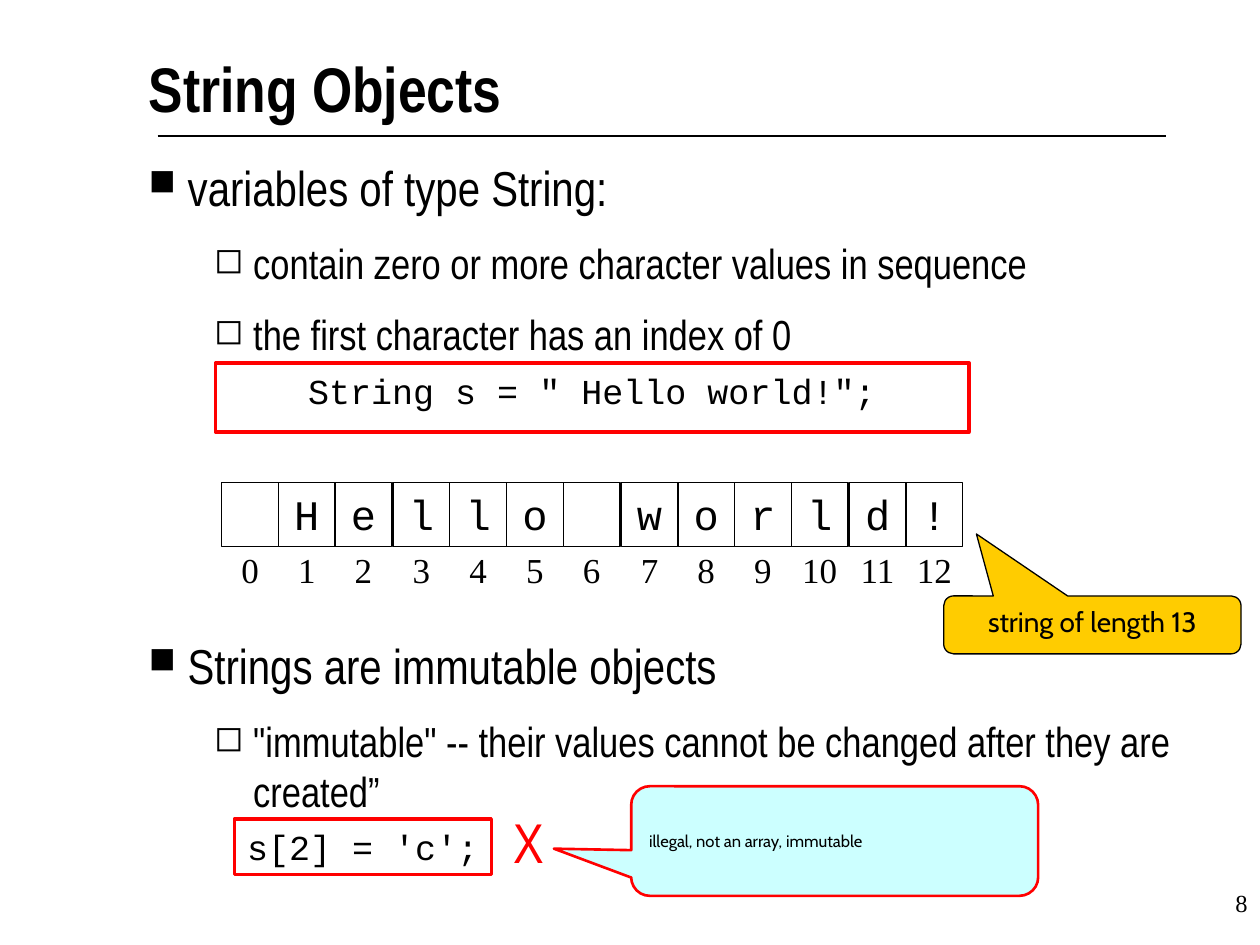
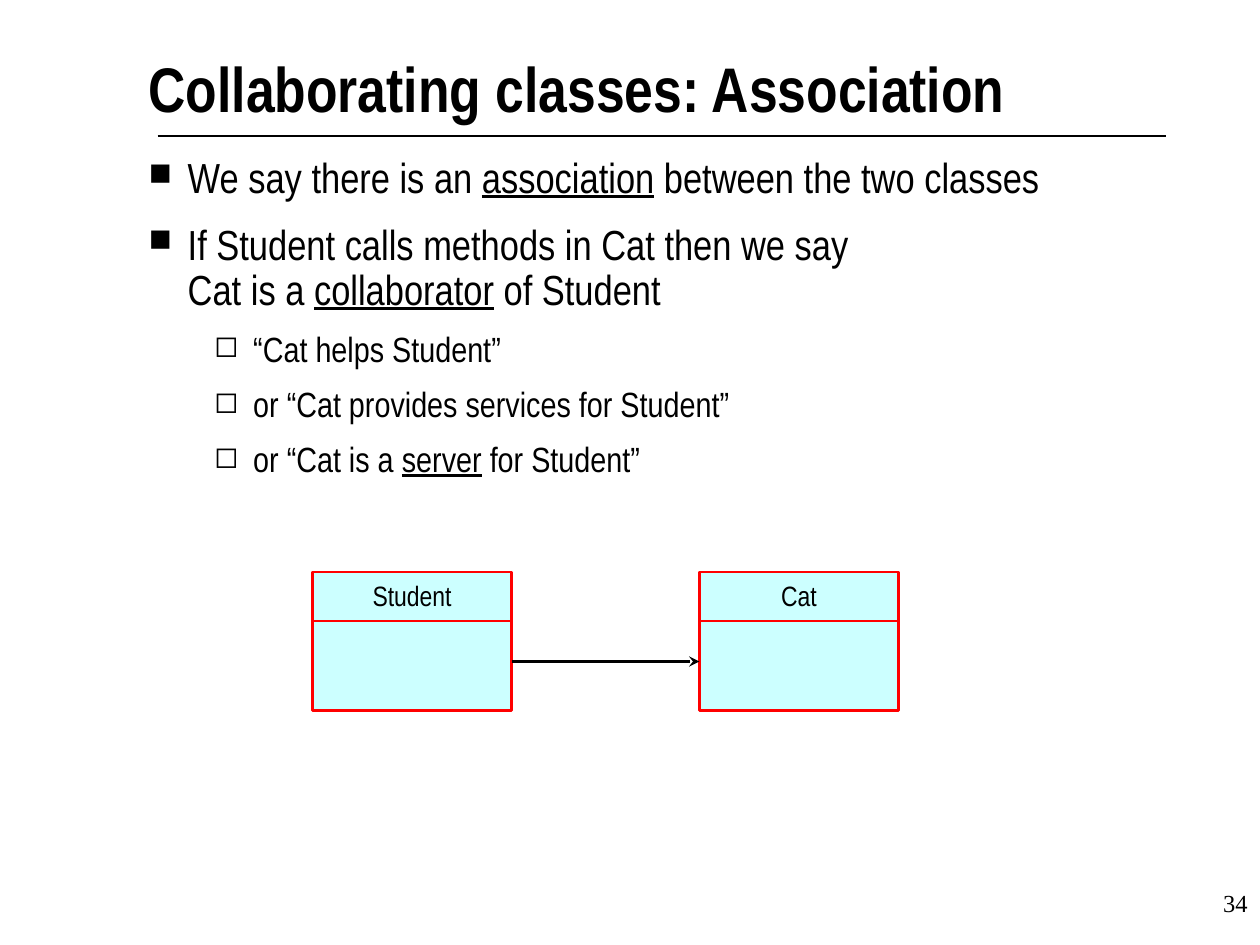
import dataclasses
import typing

import lxml.etree
import pptx
import pptx.dml.color
import pptx.enum.shapes
import pptx.enum.text
import pptx.oxml.ns
import pptx.util

EMU_PER_PX = 9144  # 100 px to the inch

Align = pptx.enum.text.PP_ALIGN
Anchor = pptx.enum.text.MSO_ANCHOR
Preset = pptx.enum.shapes.MSO_SHAPE


@dataclasses.dataclass(frozen=True)
class Theme:
    black: str = "000000"
    white: str = "FFFFFF"
    red: str = "FF0000"
    amber: str = "FFCC00"
    pale_cyan: str = "CCFFFF"
    sans: str = "Arial Narrow"
    serif: str = "Times New Roman"
    mono: str = "Courier New"
    note: str = "Cabin"
    title: float = 36
    mark: float = 32
    large: float = 28
    medium: float = 24
    small: float = 20
    label: float = 16
    number: float = 14
    remark: float = 9.5
    thin: float = 0.75
    medium_line: float = 1.5
    thick: float = 2


THEME = Theme()


class Area(typing.NamedTuple):
    left: int
    top: int
    width: int
    height: int


class Style(typing.NamedTuple):
    font: str
    size: float
    color: str = THEME.black
    align: Align = Align.CENTER
    bold: bool = False


class Look(typing.NamedTuple):
    fill: str
    line: str
    width: float
    opacity: int = 100


class Span(typing.NamedTuple):
    text: str
    underline: bool = False


class Bullet(typing.NamedTuple):
    char: str
    percent: int
    level: int
    margin: int


class Item(typing.NamedTuple):
    bullet: Bullet
    size: float
    before: float
    spans: tuple[Span, ...]


SQUARE = Bullet("■", 75, 0, 31)
HOLLOW = Bullet("◻", 85, 1, 83)
HANGING = 31
PADDING = (10, 5)

# Shared places
TITLE_AREA = Area(118, 39, 765, 75)
NUMBER_AREA = Area(792, 700, 208, 50)

TITLE_STYLE = Style(THEME.sans, THEME.title, align=Align.LEFT, bold=True)
NUMBER_STYLE = Style(THEME.serif, THEME.number, align=Align.RIGHT)
CODE_STYLE = Style(THEME.mono, THEME.small)
LETTER_STYLE = Style(THEME.mono, THEME.medium)
INDEX_STYLE = Style(THEME.serif, THEME.small)
CLASS_STYLE = Style(THEME.sans, THEME.label)

CODE_LOOK = Look(THEME.white, THEME.red, THEME.thick)
CELL_LOOK = Look(THEME.white, THEME.black, THEME.thin, opacity=70)
CYAN_LOOK = Look(THEME.pale_cyan, THEME.red, THEME.medium_line)
AMBER_LOOK = Look(THEME.amber, THEME.black, THEME.thin)


def px(length: int) -> pptx.util.Emu:
    return pptx.util.Emu(length * EMU_PER_PX)


def rgb(color: str) -> pptx.dml.color.RGBColor:
    return pptx.dml.color.RGBColor.from_string(color)


def add_element(parent, tag: str, **attributes: str):
    return lxml.etree.SubElement(parent, pptx.oxml.ns.qn(tag), attributes)


# Text
def set_frame(frame, padding: tuple[int, int] = PADDING, wrap: bool = True,
              anchor: Anchor = Anchor.TOP) -> None:
    frame.auto_size = pptx.enum.text.MSO_AUTO_SIZE.NONE
    frame.word_wrap = wrap
    frame.vertical_anchor = anchor
    frame.margin_left = frame.margin_right = px(padding[0])
    frame.margin_top = frame.margin_bottom = px(padding[1])


def add_span(para, span: Span, style: Style) -> None:
    for index, line in enumerate(span.text.split("\n")):
        if index:
            para.add_line_break()
        run = para.add_run()
        run.text = line
        run.font.name = style.font
        run.font.size = pptx.util.Pt(style.size)
        run.font.bold = style.bold
        run.font.underline = span.underline
        run.font.color.rgb = rgb(style.color)


def write(frame, text: str, style: Style) -> None:
    para = frame.paragraphs[0]
    para.alignment = style.align
    add_span(para, Span(text), style)


def add_text(shapes, area: Area, text: str, style: Style, wrap: bool = True) -> None:
    box = shapes.add_textbox(*map(px, area))
    set_frame(box.text_frame, wrap=wrap)
    write(box.text_frame, text, style)


def set_bullet(para, bullet: Bullet) -> None:
    para.level = bullet.level
    properties = para._p.get_or_add_pPr()
    properties.set("marL", str(px(bullet.margin)))
    properties.set("indent", str(px(-HANGING)))
    color = add_element(properties, "a:buClr")
    add_element(color, "a:srgbClr", val=THEME.black)
    add_element(properties, "a:buSzPct", val=str(bullet.percent * 1000))
    add_element(properties, "a:buChar", char=bullet.char)


def add_body(page, area: Area, items: list[Item], line_spacing: float) -> None:
    box = page.shapes.add_textbox(*map(px, area))
    frame = box.text_frame
    set_frame(frame, padding=(0, 0))
    for index, item in enumerate(items):
        para = frame.add_paragraph() if index else frame.paragraphs[0]
        set_bullet(para, item.bullet)
        para.line_spacing = line_spacing
        if index:
            para.space_before = pptx.util.Pt(item.before)
        for span in item.spans:
            add_span(para, span, Style(THEME.sans, item.size))


# Shapes and lines
def add_box(shapes, area: Area, look: Look, text: str = "", style: Style = CODE_STYLE,
            preset: Preset = Preset.RECTANGLE, wrap: bool = True,
            anchor: Anchor = Anchor.TOP, adjustments: tuple[float, ...] = ()) -> None:
    shape = shapes.add_shape(preset, *map(px, area))
    shape.shadow.inherit = False
    for index, value in enumerate(adjustments):
        shape.adjustments[index] = value
    shape.fill.solid()
    shape.fill.fore_color.rgb = rgb(look.fill)
    if look.opacity < 100:
        color = shape._element.spPr.find(".//" + pptx.oxml.ns.qn("a:srgbClr"))
        add_element(color, "a:alpha", val=str(look.opacity * 1000))
    shape.line.color.rgb = rgb(look.line)
    shape.line.width = pptx.util.Pt(look.width)
    set_frame(shape.text_frame, wrap=wrap, anchor=anchor)
    if text:
        write(shape.text_frame, text, style)


def add_line(page, left: int, right: int, top: int, color: str, width: float,
             arrow: bool = False) -> None:
    line = page.shapes.add_connector(pptx.enum.shapes.MSO_CONNECTOR.STRAIGHT,
                                     px(left), px(top), px(right), px(top))
    line.line.color.rgb = rgb(color)
    line.line.width = pptx.util.Pt(width)
    if arrow:
        add_element(line.line._get_or_add_ln(), "a:tailEnd", type="stealth")
    add_element(line._element.spPr, "a:effectLst")


# Title, rule and page number on every slide
def add_page(deck, title: str, number: int):
    page = deck.slides.add_slide(deck.slide_layouts[5])
    holder = page.shapes.title
    holder.left, holder.top, holder.width, holder.height = map(px, TITLE_AREA)
    set_frame(holder.text_frame, padding=(0, 0))
    write(holder.text_frame, title, TITLE_STYLE)
    add_line(page, 125, 925, 108, THEME.black, THEME.thin)
    add_text(page.shapes, NUMBER_AREA, str(number), NUMBER_STYLE)
    return page


def add_string_cells(page, letters: str) -> None:
    left, span, width, height = 176, 588, 45, 51
    cells = page.shapes.add_group_shape().shapes
    for index, letter in enumerate(letters):
        x = left + round(index * span / len(letters))
        add_box(cells, Area(x, 383, width, height), CELL_LOOK, letter.strip(),
                LETTER_STYLE, wrap=False)
        add_text(cells, Area(x, 430, width, height), str(index), INDEX_STYLE, wrap=False)


def build_string_objects(deck) -> None:
    page = add_page(deck, "String Objects", 8)
    add_body(page, Area(118, 125, 825, 525), [
        Item(SQUARE, THEME.large, 14, (Span("variables of type String:"),)),
        Item(HOLLOW, THEME.medium, 12,
             (Span("contain zero or more character values in sequence"),)),
        Item(HOLLOW, THEME.medium, 12, (Span("the first character has an index of 0"),)),
        # Wide gap leaves room for the code and the cells
        Item(SQUARE, THEME.large, 158, (Span("Strings are immutable objects"),)),
        Item(HOLLOW, THEME.medium, 12, (Span(
            '"immutable" -- their values cannot be changed after they are created”'),)),
    ], line_spacing=1.0)

    # Declaration and its characters
    add_box(page.shapes, Area(171, 288, 598, 55), CODE_LOOK, 'String s = " Hello world!";')
    add_string_cells(page, " Hello world!")
    add_box(page.shapes, Area(749, 473, 236, 46), AMBER_LOOK, "string of length 13",
            Style(THEME.note, THEME.label), Preset.ROUNDED_RECTANGULAR_CALLOUT,
            adjustments=(-0.39, -1.57, 0.17))

    # Illegal assignment
    add_box(page.shapes, Area(186, 650, 204, 44), CODE_LOOK, "s[2] = 'c';", wrap=False)
    add_text(page.shapes, Area(392, 636, 55, 64), "X",
             Style(THEME.sans, THEME.mark, THEME.red))
    add_box(page.shapes, Area(501, 624, 323, 87), CYAN_LOOK,
            "illegal, not an array, immutable",
            Style(THEME.note, THEME.remark, align=Align.LEFT),
            Preset.ROUNDED_RECTANGULAR_CALLOUT, anchor=Anchor.MIDDLE,
            adjustments=(-0.69, 0.07, 0.17))


def build_association(deck) -> None:
    page = add_page(deck, "Collaborating classes: Association", 34)
    add_body(page, Area(118, 125, 831, 344), [
        Item(SQUARE, THEME.medium, 12, (
            Span("We say there is an "), Span("association", True),
            Span(" between the two classes"))),
        Item(SQUARE, THEME.medium, 12, (
            Span("If Student calls methods in Cat then we say\nCat is a "),
            Span("collaborator", True), Span(" of Student"))),
        Item(HOLLOW, THEME.small, 10, (Span("“Cat helps Student”"),)),
        Item(HOLLOW, THEME.small, 10, (Span("or “Cat provides services for Student”"),)),
        Item(HOLLOW, THEME.small, 10, (
            Span("or “Cat is a "), Span("server", True), Span(" for Student”"))),
    ], line_spacing=0.9)

    # Class diagram
    width, student_left, cat_left = 158, 248, 555
    for name, left in (("Student", student_left), ("Cat", cat_left)):
        add_box(page.shapes, Area(left, 454, width, 110), CYAN_LOOK, name, CLASS_STYLE,
                wrap=False)
        add_line(page, left, left + width, 493, THEME.red, THEME.medium_line)
    add_line(page, student_left + width, cat_left, 525, THEME.black, THEME.medium_line,
             arrow=True)


def main() -> None:
    deck = pptx.Presentation()
    deck.slide_width, deck.slide_height = px(1000), px(750)
    build_string_objects(deck)
    build_association(deck)
    deck.save("out.pptx")


if __name__ == "__main__":
    main()
